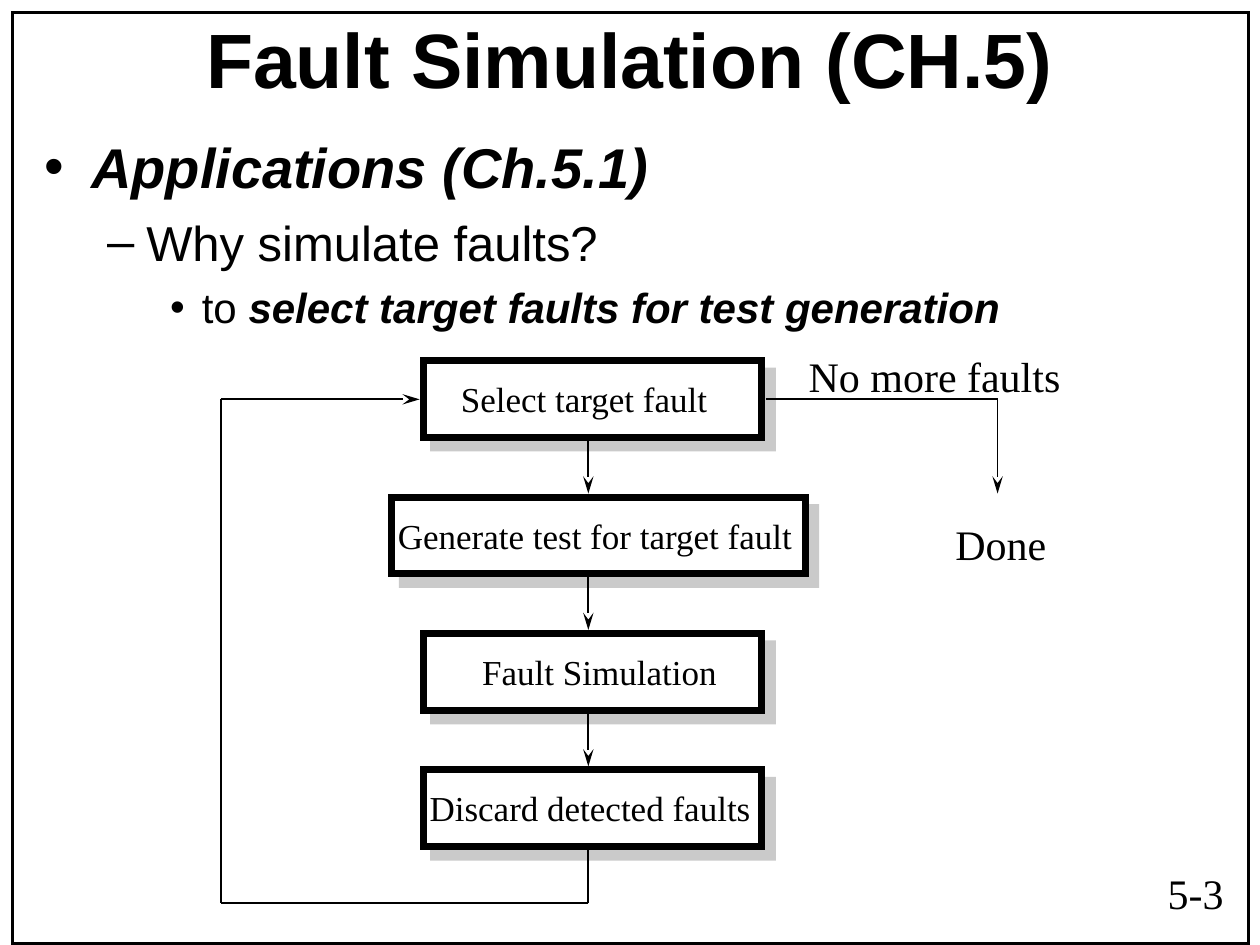
from pptx import Presentation
from pptx.dml.color import RGBColor
from pptx.enum.shapes import MSO_CONNECTOR, MSO_SHAPE
from pptx.enum.text import MSO_ANCHOR, MSO_AUTO_SIZE, PP_ALIGN
from pptx.oxml import parse_xml
from pptx.oxml.ns import nsdecls, qn
from pptx.util import Cm, Pt

BLACK = RGBColor(0x00, 0x00, 0x00)
WHITE = RGBColor(0xFF, 0xFF, 0xFF)
STRAIGHT = MSO_CONNECTOR.STRAIGHT
RECTANGLE = MSO_SHAPE.RECTANGLE
MIDDLE = MSO_ANCHOR.MIDDLE
NO_AUTOFIT = MSO_AUTO_SIZE.NONE
CENTER = PP_ALIGN.CENTER

NAMESPACE = nsdecls("a")
MITER_XML = f'<a:miter {NAMESPACE} lim="800000"/>'
ARROW_XML = f'<a:tailEnd {NAMESPACE} type="stealth" w="med" len="lg"/>'
SHADOW_XML = (
    f'<a:outerShdw {NAMESPACE} blurRad="0" dist="107950" dir="2700000" '
    'algn="ctr" rotWithShape="0"><a:srgbClr val="969696">'
    '<a:alpha val="50000"/></a:srgbClr></a:outerShdw>'
)


def format_run(run, size, name="Times New Roman", bold=False, italic=False):
    font = run.font
    font.size = Pt(size)
    font.name = name
    font.bold = bold
    font.italic = italic
    font.color.rgb = BLACK


def add_line(start, end, arrow=False):
    """Draw a thin black line between two points in cm, with a stealth head if asked."""
    line = slide.shapes.add_connector(STRAIGHT, *map(Cm, start + end))
    line.line.color.rgb = BLACK
    line.line.width = Pt(1)
    if arrow:
        line.line._get_or_add_ln().append(parse_xml(ARROW_XML))
    line._element.spPr.append(parse_xml(f'<a:effectLst {NAMESPACE}/>'))


presentation = Presentation()
presentation.slide_width = Cm(25.4)
presentation.slide_height = Cm(19.05)
slide = presentation.slides.add_slide(presentation.slide_layouts[5])

# Frame around the slide
frame = slide.shapes.add_shape(RECTANGLE, Cm(0.25), Cm(0.25), Cm(24.92), Cm(18.77))
frame.shadow.inherit = False
frame.fill.background()
frame.line.color.rgb = BLACK
frame.line.width = Pt(2)
frame.line._get_or_add_ln().append(parse_xml(MITER_XML))

# Title
title = slide.shapes.title
title.left, title.top, title.width, title.height = Cm(1.9), Cm(0.21), Cm(21.6), Cm(1.91)
title.text_frame.text = "Fault Simulation (CH.5)"
title.text_frame.auto_size = NO_AUTOFIT
title.text_frame.vertical_anchor = MIDDLE
title.text_frame.paragraphs[0].alignment = CENTER
format_run(title.text_frame.paragraphs[0].runs[0], 44, "Arial", bold=True)

# Bulleted text: level, bullet, margin and hanging in cm, space before, size, (text, emphasis)
bullets = [
    (0, "•", 0.95, 0.95, 8, 32, [("Applications (Ch.5.1)", True)]),
    (1, "–", 2.06, 0.79, 7, 28, [("Why simulate faults?", False)]),
    (2, "•", 3.18, 0.64, 6, 24, [("to ", False),
                                 ("select target faults for test generation", True)]),
]
body = slide.shapes.add_textbox(Cm(0.64), Cm(2.55), Cm(24.76), Cm(4.45)).text_frame
body.word_wrap = True
for level, bullet, margin, hanging, space, size, parts in bullets:
    paragraph = body.add_paragraph() if level else body.paragraphs[0]
    paragraph.level = level
    paragraph.space_before = Pt(space)
    for text, emphasis in parts:
        run = paragraph.add_run()
        run.text = text
        format_run(run, size, "Arial", bold=emphasis, italic=emphasis)
    properties = paragraph._p.get_or_add_pPr()
    properties.set("marL", str(Cm(margin)))
    properties.set("indent", str(-Cm(hanging)))
    properties.append(parse_xml(f'<a:buFont {NAMESPACE} typeface="Arial"/>'))
    properties.append(parse_xml(f'<a:buChar {NAMESPACE} char="{bullet}"/>'))

# Flow steps: text, box left and width, label left and width in cm
steps = [
    ("Select target fault", 8.53, 6.83, 9.04, 5.51),
    ("Generate test for target fault", 7.9, 8.33, 7.77, 8.48),
    ("Fault Simulation", 8.53, 6.83, 9.47, 5.26),
    ("Discard detected faults", 8.53, 6.83, 8.41, 6.99),
]
STEP_TOP, STEP_HEIGHT, STEP_PITCH = 7.27, 1.55, 2.75
LABEL_OFFSET, STEP_LABEL_HEIGHT, FREE_LABEL_HEIGHT = 0.22, 1.1, 1.27
labels = []
for index, (text, left, width, label_left, label_width) in enumerate(steps):
    top = STEP_TOP + index * STEP_PITCH
    box = slide.shapes.add_shape(RECTANGLE, Cm(left), Cm(top), Cm(width), Cm(STEP_HEIGHT))
    box.fill.solid()
    box.fill.fore_color.rgb = WHITE
    box.line.color.rgb = BLACK
    box.line.width = Pt(4)
    box.line._get_or_add_ln().append(parse_xml(MITER_XML))
    box.shadow.inherit = False
    box._element.spPr.find(qn("a:effectLst")).append(parse_xml(SHADOW_XML))
    labels.append((text, label_left, top + LABEL_OFFSET, label_width, STEP_LABEL_HEIGHT, 20))

# Arrows between steps
FLOW_X, LOOP_X, DONE_X = 11.86, 4.45, 20.11
BRANCH_Y, LOOP_Y = 8.05, 18.2
ARROW_TOP, ARROW_LENGTH = 8.89, 1.06
for index in range(len(steps) - 1):
    top = ARROW_TOP + index * STEP_PITCH
    add_line((FLOW_X, top), (FLOW_X, top + ARROW_LENGTH), arrow=True)

# Exit branch
add_line((15.44, BRANCH_Y), (DONE_X, BRANCH_Y))
add_line((DONE_X, BRANCH_Y), (DONE_X, 9.95), arrow=True)

# Loop back to the first step
add_line((FLOW_X, 17.14), (FLOW_X, LOOP_Y))
add_line((FLOW_X, LOOP_Y), (LOOP_X, LOOP_Y))
add_line((LOOP_X, LOOP_Y), (LOOP_X, BRANCH_Y))
add_line((LOOP_X, BRANCH_Y), (8.46, BRANCH_Y), arrow=True)

# Step labels, branch labels and page number
labels += [
    ("No more faults", 16.05, 6.94, 5.59, FREE_LABEL_HEIGHT, 24),
    ("Done", 19.01, 10.33, 2.34, FREE_LABEL_HEIGHT, 24),
    ("5-3", 23.29, 17.36, 1.63, FREE_LABEL_HEIGHT, 24),
]
for text, left, top, width, height, size in labels:
    label = slide.shapes.add_textbox(Cm(left), Cm(top), Cm(width), Cm(height))
    label.text_frame.word_wrap = False
    label.text_frame.text = text
    format_run(label.text_frame.paragraphs[0].runs[0], size)

presentation.save("out.pptx")
